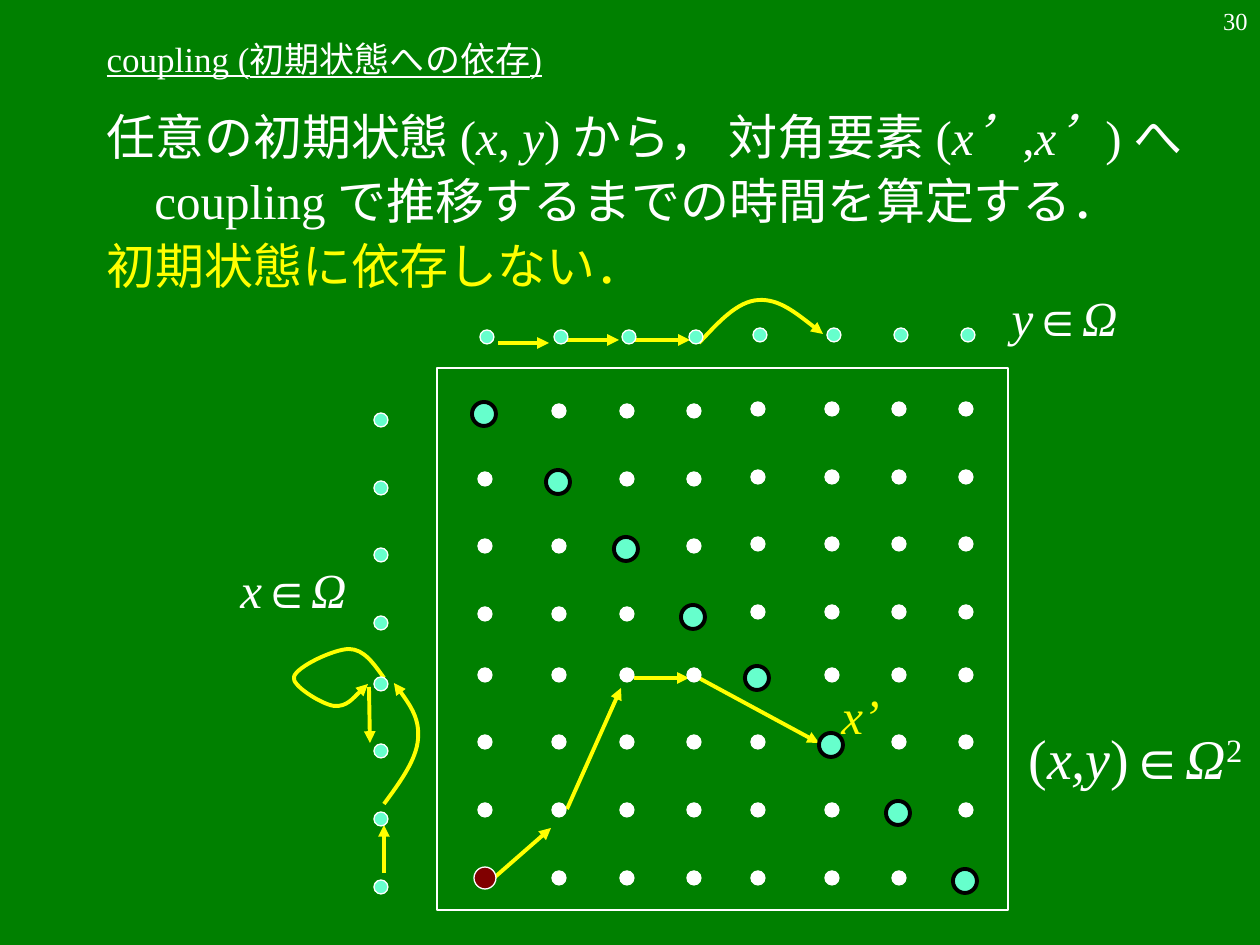
from dataclasses import dataclass

from lxml import etree
from pptx import Presentation
from pptx import util as u
from pptx.dml.color import RGBColor
from pptx.enum import shapes, text
from pptx.oxml.ns import qn

PX = 914400 / 126  # EMU in one px


@dataclass
class Theme:
    font: str = "Times New Roman"
    back: str = "008000"
    ink: str = "FFFFFF"
    accent: str = "FFFF00"
    mint: str = "66FFCC"
    start: str = "800000"
    ring: str = "000000"
    note: int = 14
    title: int = 20
    body: int = 28
    large: int = 32
    thin: float = 0.75
    thick: float = 2.25


T = Theme()

# Content: runs are (text, style), with i = italic, u = underline, sup = superscript
TITLE = [("coupling (初期状態への依存)", "u")]
BODY = [
    ([("任意の初期状態 (", ""), ("x", "i"), (", ", ""), ("y", "i"),
      (") から， 対角要素 (", ""), ("x’", "i"), (",", ""), ("x’", "i"),
      (") へcoupling で推移するまでの時間を算定する．", "")], T.ink, 1.1, 0),
    ([("初期状態に依存しない．", "")], T.accent, 0.9, 7),
]
LABELS = [  # runs, box, size, colour
    ([("y", "i"), ("∈", ""), ("Ω", "i")], (999, 281, 131, 72), T.body, T.ink),
    ([("x", "i"), ("∈", ""), ("Ω", "i")], (228, 553, 131, 72), T.body, T.ink),
    ([("(", ""), ("x,y", "i"), (")∈", ""), ("Ω", "i"), ("2", "sup")],
     (1016, 717, 239, 81), T.large, T.ink),
    ([("x’", "i")], (829, 679, 63, 72), T.body, T.accent),
]
PAGE = [("30", "")]

# State grid: centres of columns and rows
COLS = [485, 559, 627, 694, 758, 832, 899, 966]
ROWS = [411, 479, 546, 614, 675, 742, 810, 878]
FRAME = (437, 368, 571, 542)
Y_AXIS, X_AXIS = 337, 381
RAISE = 2  # right-hand half of the upper rows sits a little higher

ARROWS = [
    # joint walk in the square
    (495, 877, 551, 828), (567, 809, 621, 688),
    (634, 678, 689, 678), (697, 677, 819, 743),
    # walk of y
    (498, 343, 549, 343), (561, 340, 619, 340), (624, 340, 690, 340),
    # walk of x
    (384, 873, 384, 825), (369, 687, 370, 743),
]
CURVES = [  # start point, then three Bezier points for each piece
    [(699, 343), (718, 323), (737, 301), (759, 300),
     (779, 299), (800, 316), (823, 334)],
    [(384, 804), (401, 781), (416, 760), (418, 740),
     (420, 719), (407, 700), (394, 683)],
    [(384, 678), (374, 664), (364, 649), (349, 649),
     (334, 649), (296, 667), (294, 677),
     (291, 685), (321, 704), (334, 706),
     (347, 707), (363, 688), (368, 684)],
]


def emu(*lengths):
    return [round(v * PX) for v in lengths]


def rgb(value):
    return RGBColor.from_string(value)


def set_runs(p, runs, size, color):
    for words, style in runs:
        r = p.add_run()
        r.text = words
        r.font.name, r.font.size = T.font, u.Pt(size)
        r.font.color.rgb = rgb(color)
        r.font.italic = style == "i"
        r.font.underline = style == "u"
        if style == "sup":
            r._r.get_or_add_rPr().set("baseline", "30000")


def add_text(s, box, wrap=True):
    tf = s.shapes.add_textbox(*emu(*box)).text_frame
    tf.word_wrap = wrap
    return tf


def set_line(sp, color, width):
    sp.line.color.rgb = rgb(color)
    sp.line.width = u.Pt(width)


def set_arrow(sp):
    set_line(sp, T.accent, T.thick)
    etree.SubElement(sp.line._get_or_add_ln(), qn("a:tailEnd"), type="triangle")


def add_arrow(s, ends):
    sp = s.shapes.add_connector(shapes.MSO_CONNECTOR.STRAIGHT, *emu(*ends))
    set_arrow(sp)
    etree.SubElement(sp._element.spPr, qn("a:effectLst"))


def add_curve(s, points):
    builder = s.shapes.build_freeform(*points[0], scale=PX)
    builder.add_line_segments(points[1:], close=False)
    sp = builder.convert_to_shape()
    sp.shadow.inherit = False
    sp.fill.background()
    # Turn each three segments into one cubic Bezier piece
    path = sp._element.find(".//" + qn("a:path"))
    lines = path.findall(qn("a:lnTo"))
    for i in range(0, len(lines), 3):
        piece = etree.SubElement(path, qn("a:cubicBezTo"))
        for line in lines[i:i + 3]:
            piece.append(line[0])
            path.remove(line)
    set_arrow(sp)


def add_dot(s, x, y, size, fill, line=T.ink, width=T.thin):
    box = emu(x - size / 2, y - size / 2, size, size)
    sp = s.shapes.add_shape(shapes.MSO_SHAPE.OVAL, *box)
    sp.shadow.inherit = False
    sp.fill.solid()
    sp.fill.fore_color.rgb = rgb(fill)
    set_line(sp, line, width)


def add_grid(s):
    last = len(ROWS) - 1
    for row, y in enumerate(ROWS):
        for col, x in enumerate(COLS):
            if (row, col) == (last, 0):
                add_dot(s, x, y, 22, T.start)
            elif row == col:
                add_dot(s, x - 1, y + 3, 24, T.mint, T.ring, T.thick)
            else:
                lift = RAISE if row < 4 <= col else 0
                add_dot(s, x, y - lift, 14, T.ink)
    for col, x in enumerate(COLS):
        add_dot(s, x + 2, Y_AXIS - (RAISE if col >= 4 else 0), 14, T.mint)
    for y in ROWS:
        add_dot(s, X_AXIS, y + 9, 14, T.mint)


def main():
    prs = Presentation()
    prs.slide_width, prs.slide_height = emu(1260, 945)
    s = prs.slides.add_slide(prs.slide_layouts[5])
    s.background.fill.solid()
    s.background.fill.fore_color.rgb = rgb(T.back)

    # Title
    sp = s.shapes.title
    sp.left, sp.top, sp.width, sp.height = emu(94, 42, 809, 32)
    tf = sp.text_frame
    tf.auto_size = text.MSO_AUTO_SIZE.NONE
    tf.vertical_anchor = text.MSO_ANCHOR.MIDDLE
    tf.paragraphs[0].alignment = text.PP_ALIGN.LEFT
    set_runs(tf.paragraphs[0], TITLE, T.title, T.ink)

    # Body with hanging indents
    tf = add_text(s, (94, 94, 1166, 777))
    for i, (runs, color, spacing, before) in enumerate(BODY):
        p = tf.add_paragraph() if i else tf.paragraphs[0]
        hang, = emu(48)
        p._p.get_or_add_pPr().set("marL", str(hang))
        p._p.get_or_add_pPr().set("indent", str(-hang))
        p.line_spacing, p.space_before = spacing, u.Pt(before)
        set_runs(p, runs, T.body, color)

    # Walks, then the states over them
    for ends in ARROWS:
        add_arrow(s, ends)
    for points in CURVES:
        add_curve(s, points)
    add_grid(s)

    # Frame of the product space
    sp = s.shapes.add_shape(shapes.MSO_SHAPE.RECTANGLE, *emu(*FRAME))
    sp.shadow.inherit = False
    sp.fill.background()
    set_line(sp, T.ink, T.thin)

    # Labels and page number
    for runs, box, size, color in LABELS:
        tf = add_text(s, box, wrap=False)
        tf.auto_size = text.MSO_AUTO_SIZE.SHAPE_TO_FIT_TEXT
        tf.paragraphs[0].alignment = text.PP_ALIGN.CENTER
        set_runs(tf.paragraphs[0], runs, size, color)
    p = add_text(s, (998, 0, 262, 63)).paragraphs[0]
    p.alignment = text.PP_ALIGN.RIGHT
    set_runs(p, PAGE, T.note, T.ink)

    prs.save("out.pptx")


if __name__ == "__main__":
    main()
